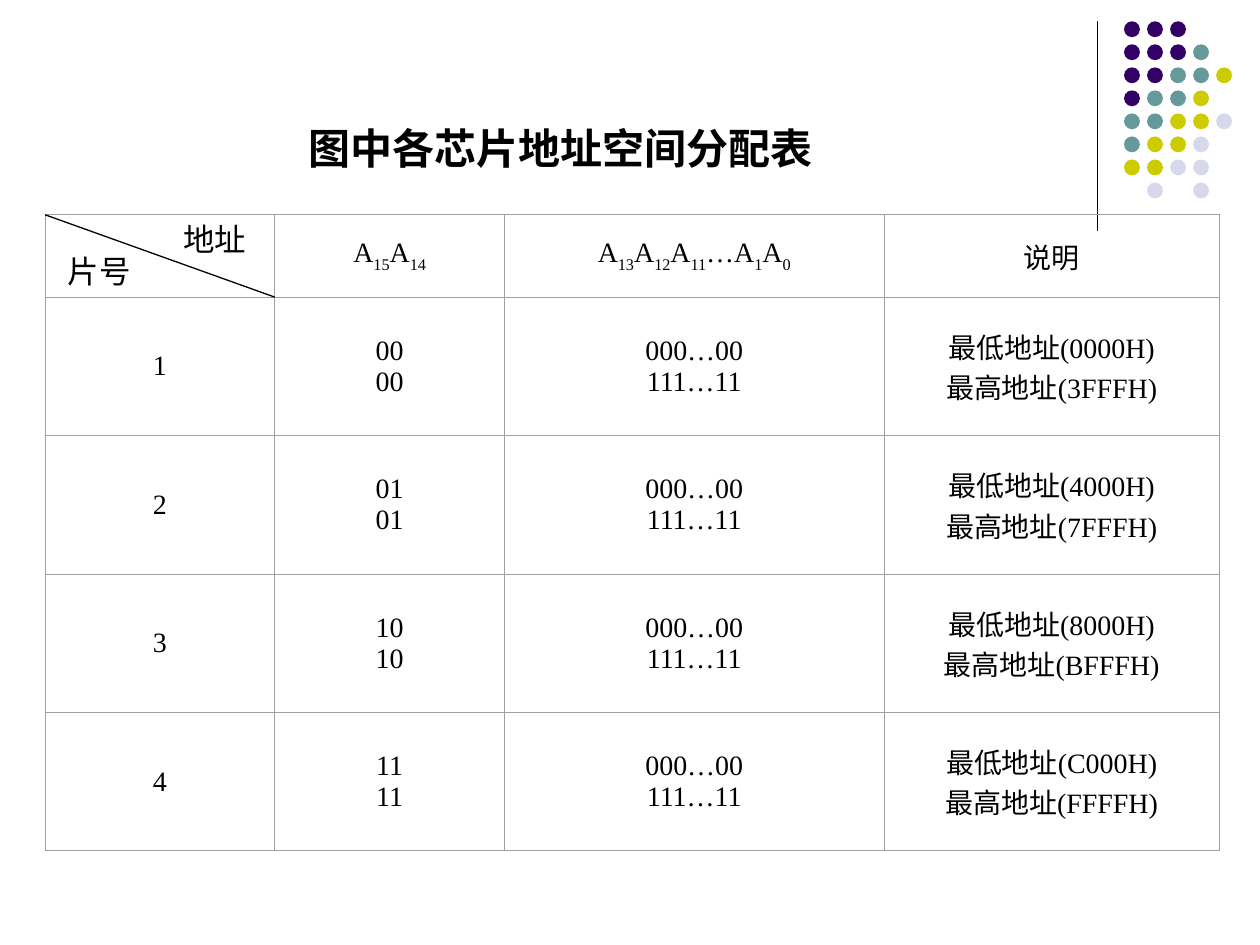
from lxml import etree
from pptx import Presentation
from pptx import util as u
from pptx.dml.color import RGBColor
from pptx.enum import shapes, text
from pptx.oxml import ns

BLACK = RGBColor(0x00, 0x00, 0x00)
GREY = RGBColor(0xA0, 0xA0, 0xA0)
DOT_COLORS = {
    "P": RGBColor(0x33, 0x00, 0x66),
    "T": RGBColor(0x66, 0x99, 0x99),
    "Y": RGBColor(0xCC, 0xCC, 0x00),
    "L": RGBColor(0xD8, 0xD8, 0xEC),
}
FONT = "Times New Roman"

# Corner ornament: one letter per dot, a full stop for a gap
DOT_ROWS = ["PPP", "PPPT", "PPTTY", "PTTY", "TTYYL", "TYYL", "YYLL", ".L.L"]
DOT_LEFT, DOT_TOP, DOT_SIZE = 22.66, 0.43, 0.32
DOT_PITCH = 3.25 / (len(DOT_ROWS) - 1)

# Address table, lengths in centimetres
TABLE_LEFT, TABLE_TOP = 0.91, 4.33
COLUMN_WIDTHS = [4.63, 4.63, 7.65, 6.76]
ROW_HEIGHTS = [1.66] + [2.79] * 4
# A header is a list of (text, subscript) pairs
HEADERS = [
    [],
    [("A", "15"), ("A", "14")],
    [("A", "13"), ("A", "12"), ("A", "11"), ("…A", "1"), ("A", "0")],
    [("说明", "")],
]
CHIPS = [
    ("1", "00", "0000H", "3FFFH"),
    ("2", "01", "4000H", "7FFFH"),
    ("3", "10", "8000H", "BFFFH"),
    ("4", "11", "C000H", "FFFFH"),
]


def set_font(font, size, bold=False):
    values = {"name": FONT, "size": u.Pt(size), "bold": bold}
    for name, value in values.items():
        setattr(font, name, value)
    font.color.rgb = BLACK


def set_frame(frame, **values):
    for name, value in values.items():
        setattr(frame, name, value)


def add_line(slide, x1, y1, x2, y2):
    line = slide.shapes.add_connector(
        shapes.MSO_CONNECTOR.STRAIGHT, u.Cm(x1), u.Cm(y1), u.Cm(x2), u.Cm(y2))
    line.line.color.rgb = BLACK
    line.line.width = u.Pt(0.75)
    etree.SubElement(line._element.spPr, ns.qn("a:effectLst"))


def add_dots(slide):
    for row, letters in enumerate(DOT_ROWS):
        for column, letter in enumerate(letters):
            if letter not in DOT_COLORS:
                continue
            dot = slide.shapes.add_shape(
                shapes.MSO_SHAPE.OVAL,
                u.Cm(DOT_LEFT + column * DOT_PITCH), u.Cm(DOT_TOP + row * DOT_PITCH),
                u.Cm(DOT_SIZE), u.Cm(DOT_SIZE))
            dot.shadow.inherit = False
            dot.fill.solid()
            dot.fill.fore_color.rgb = DOT_COLORS[letter]
            dot.line.fill.background()


def add_title(slide, title_text):
    title = slide.shapes.title
    box = {"left": 5.97, "top": 2.34, "width": 10.85, "height": 1.27}
    for name, value in box.items():
        setattr(title, name, u.Cm(value))
    set_frame(title.text_frame, text=title_text, word_wrap=False,
              auto_size=text.MSO_AUTO_SIZE.NONE, vertical_anchor=text.MSO_ANCHOR.TOP)
    paragraph = title.text_frame.paragraphs[0]
    paragraph.alignment = text.PP_ALIGN.LEFT
    set_font(paragraph.runs[0].font, 24, bold=True)


def add_label(slide, label_text, left, top):
    label = slide.shapes.add_textbox(u.Cm(left), u.Cm(top), u.Cm(1.78), u.Cm(1.02))
    set_frame(label.text_frame, text=label_text, word_wrap=False)
    set_font(label.text_frame.paragraphs[0].runs[0].font, 18)


def set_border(cell, side, width):
    line = etree.SubElement(cell._tc.get_or_add_tcPr(), ns.qn("a:" + side), w=str(u.Pt(width)))
    fill = etree.SubElement(line, ns.qn("a:solidFill"))
    etree.SubElement(fill, ns.qn("a:srgbClr"), val=str(GREY))


def edge_width(index, count):
    """Outer edges and the edge after the first row or column are heavier."""
    return 0.75 if index in (0, 1, count) else 0.25


def format_cell(cell, row, column):
    rows, columns = len(ROW_HEIGHTS), len(COLUMN_WIDTHS)
    set_border(cell, "lnL", edge_width(column, columns))
    set_border(cell, "lnR", edge_width(column + 1, columns))
    set_border(cell, "lnT", edge_width(row, rows))
    set_border(cell, "lnB", edge_width(row + 1, rows))
    cell.fill.background()
    cell.vertical_anchor = text.MSO_ANCHOR.MIDDLE
    for paragraph in cell.text_frame.paragraphs:
        paragraph.alignment = text.PP_ALIGN.CENTER
        set_font(paragraph.font, 16)
        for run in paragraph.runs:
            set_font(run.font, 16)


def write_header(cell, parts):
    paragraph = cell.text_frame.paragraphs[0]
    for base, subscript in parts:
        paragraph.add_run().text = base
        if subscript:
            run = paragraph.add_run()
            run.text = subscript
            run._r.get_or_add_rPr().set("baseline", "-30000")


def add_address_table(slide):
    frame = slide.shapes.add_table(
        len(ROW_HEIGHTS), len(COLUMN_WIDTHS), u.Cm(TABLE_LEFT), u.Cm(TABLE_TOP),
        u.Cm(sum(COLUMN_WIDTHS)), u.Cm(sum(ROW_HEIGHTS)))
    table = frame.table
    table.first_row = table.horz_banding = False
    for column, width in zip(table.columns, COLUMN_WIDTHS):
        column.width = u.Cm(width)
    for row, height in zip(table.rows, ROW_HEIGHTS):
        row.height = u.Cm(height)

    for column, parts in enumerate(HEADERS):
        write_header(table.cell(0, column), parts)
    for row, (chip, bits, lowest, highest) in enumerate(CHIPS, start=1):
        values = [chip, f"{bits}\n{bits}", "000…00\n111…11",
                  f"最低地址({lowest})\n最高地址({highest})"]
        for column, value in enumerate(values):
            table.cell(row, column).text = value

    for row in range(len(ROW_HEIGHTS)):
        for column in range(len(COLUMN_WIDTHS)):
            format_cell(table.cell(row, column), row, column)


def main():
    presentation = Presentation()
    presentation.slide_width, presentation.slide_height = u.Cm(25.4), u.Cm(19.05)
    slide = presentation.slides.add_slide(presentation.slide_layouts[5])

    # Corner ornament
    add_line(slide, 22.12, 0.43, 22.12, 4.65)
    add_dots(slide)

    # Title and table
    add_title(slide, "图中各芯片地址空间分配表")
    add_address_table(slide)

    # Split header cell
    add_label(slide, "地址", 3.45, 4.32)
    add_line(slide, TABLE_LEFT, TABLE_TOP,
             TABLE_LEFT + COLUMN_WIDTHS[0], TABLE_TOP + ROW_HEIGHTS[0])
    add_label(slide, "片号", 1.12, 4.95)

    presentation.save("out.pptx")


if __name__ == "__main__":
    main()
